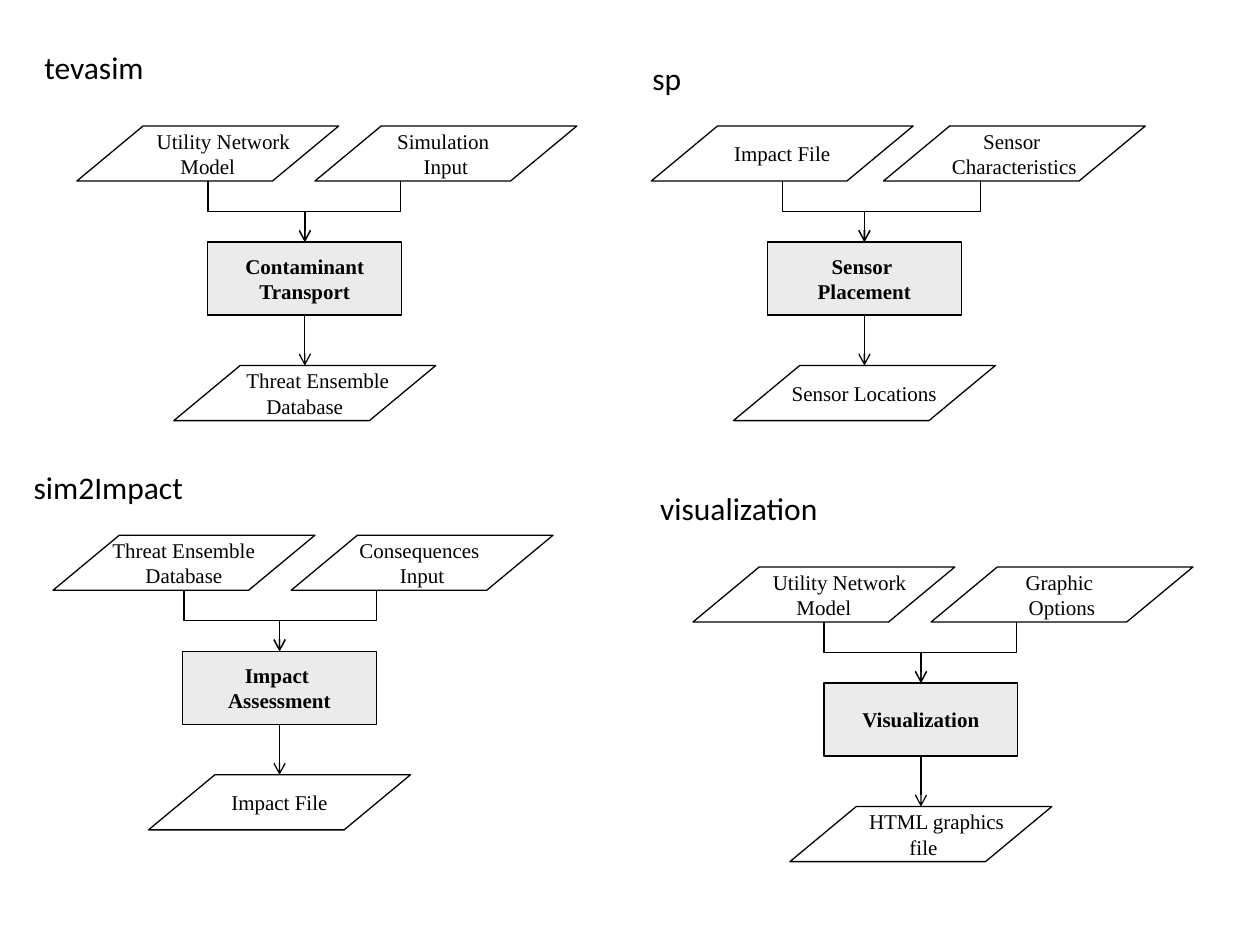
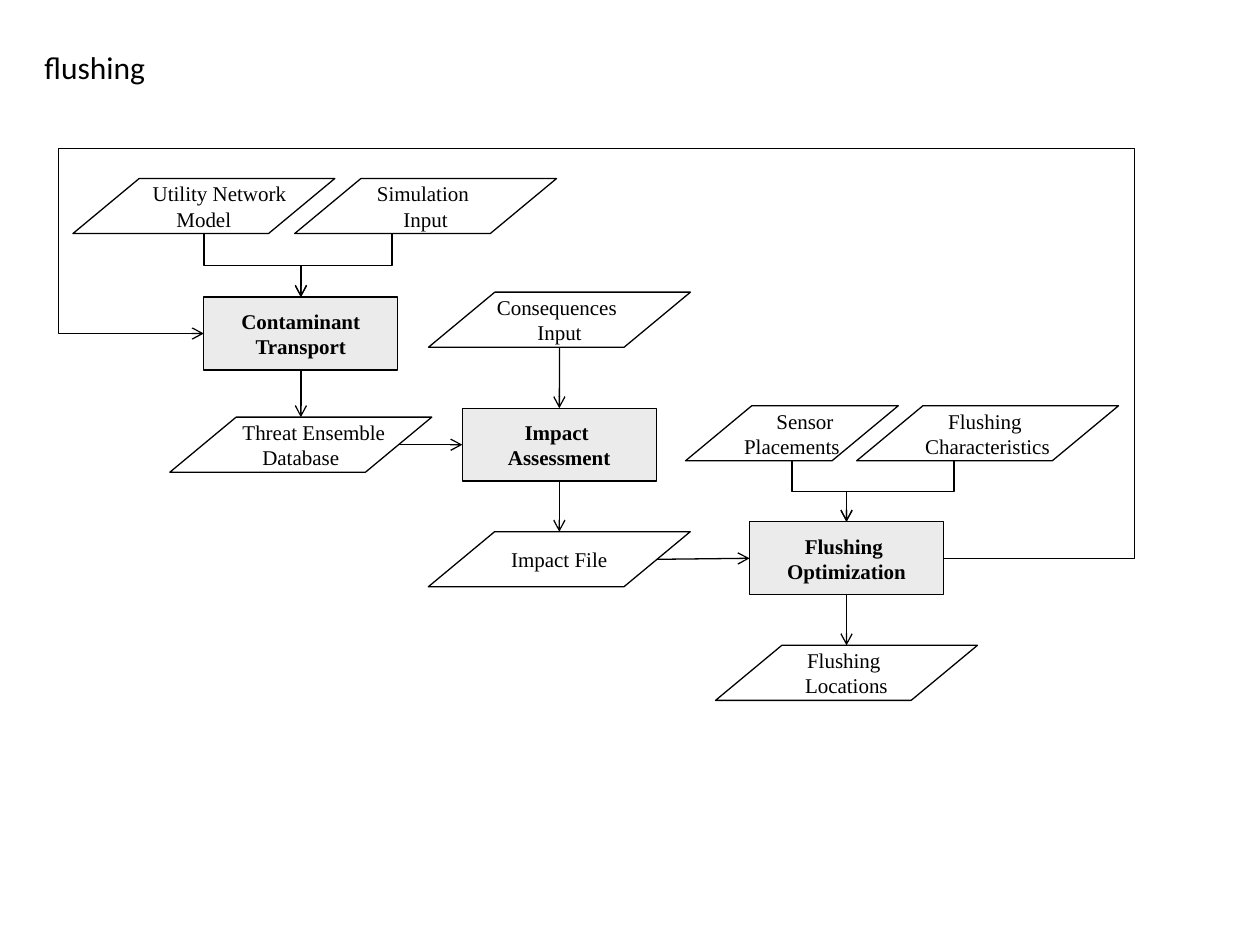
import pptx
import pptx.util
import pptx.dml.color
import pptx.enum.shapes
import pptx.enum.text
import pptx.oxml.ns
import lxml.etree

Cm, Pt = pptx.util.Cm, pptx.util.Pt
Shapes = pptx.enum.shapes.MSO_SHAPE
Connectors = pptx.enum.shapes.MSO_CONNECTOR
qn = pptx.oxml.ns.qn

COLORS = {"ink": "000000", "process": "D9D9D9", "data": "FFFFFF"}
LABEL_FONT, BOX_FONT = "Calibri", "Times New Roman"
BOX_WIDTH, BOX_HEIGHT = Cm(3.91), Cm(1.47)
DATA_WIDTH, DATA_HEIGHT = Cm(5.28), Cm(1.11)
SLANT = 1.204
INDENT = Pt(18)
TOP, LEFT, BOTTOM, RIGHT = range(4)

# Captions marked with a leading ">" have an indented first line
NETWORK = ">Utility Network\nModel"
SIMULATION = "Simulation \nInput"
THREATS = ">Threat Ensemble \nDatabase"
CONSEQUENCES = "Consequences \nInput"
IMPACT = "Impact File"


def color(name):
    return pptx.dml.color.RGBColor.from_string(COLORS[name])


def add_xml(parent, tag, **attributes):
    return lxml.etree.SubElement(parent, qn(tag), **attributes)


def middle_x(shape):
    return shape.left + shape.width // 2


def middle_y(shape):
    return shape.top + shape.height // 2


class FlowDeck:
    def __init__(self):
        self.deck = pptx.Presentation()
        self.deck.slide_width, self.deck.slide_height = Cm(25.4), Cm(19.05)
        self.slide = None

    # Slides and labels
    def new_slide(self, title, left, top, width):
        self.slide = self.deck.slides.add_slide(self.deck.slide_layouts[5])
        heading = self.slide.shapes.title
        heading.left, heading.top = Cm(left), Cm(top)
        heading.width, heading.height = Cm(width), Cm(1.03)
        self.set_label(heading, title)

    def label(self, text, left, top, width):
        box = self.slide.shapes.add_textbox(Cm(left), Cm(top), Cm(width), Cm(1.03))
        self.set_label(box, text)

    def set_label(self, box, text):
        self.set_text(box, text, LABEL_FONT, 18, pptx.enum.text.PP_ALIGN.LEFT,
                      pptx.enum.text.MSO_ANCHOR.TOP)

    def set_text(self, shape, text, font, size, align, anchor, bold=False):
        frame = shape.text_frame
        frame.text = text.lstrip(">")
        frame.word_wrap = False
        frame.vertical_anchor = anchor
        for paragraph in frame.paragraphs:
            paragraph.alignment = align
            for run in paragraph.runs:
                run.font.name, run.font.size, run.font.bold = font, Pt(size), bold
                run.font.color.rgb = color("ink")
        if text.startswith(">"):
            frame.paragraphs[0]._p.get_or_add_pPr().set("marL", str(INDENT))

    # Boxes
    def box(self, kind, text, left, top, width, height, fill, opacity, bold=False):
        shape = self.slide.shapes.add_shape(kind, left, top, width, height)
        shape.shadow.inherit = False
        shape.fill.solid()
        shape.fill.fore_color.rgb = color(fill)
        tint = shape._element.spPr.find(qn("a:solidFill"))[0]
        add_xml(tint, "a:alpha", val=str(opacity * 1000))
        shape.line.color.rgb = color("ink")
        shape.line.width = Pt(0.75)
        self.set_text(shape, text, BOX_FONT, 12, pptx.enum.text.PP_ALIGN.CENTER,
                      pptx.enum.text.MSO_ANCHOR.MIDDLE, bold)
        return shape

    def process(self, text, left, top):
        return self.box(Shapes.RECTANGLE, text, Cm(left), Cm(top),
                        BOX_WIDTH, BOX_HEIGHT, "process", 50, True)

    def data(self, text, left, top, width=DATA_WIDTH):
        shape = self.box(Shapes.PARALLELOGRAM, text, left, top,
                         width, DATA_HEIGHT, "data", 25)
        shape.adjustments[0] = SLANT
        return shape

    # Arrows
    def arrow(self, start, end, kind=Connectors.STRAIGHT):
        line = self.slide.shapes.add_connector(kind, *start, *end)
        line.line.color.rgb = color("ink")
        line.line.width = Pt(0.75)
        properties = line._element.spPr
        add_xml(properties.find(qn("a:ln")), "a:tailEnd", type="arrow")
        add_xml(properties, "a:effectLst")
        return line

    def elbow_down(self, start, end):
        """Down, across and down: a sideways elbow turned a quarter."""
        (x1, y1), (x2, y2) = start, end
        length, spread = y2 - y1, abs(x2 - x1)
        left, top = (x1 + x2 - length) // 2, (y1 + y2 - spread) // 2
        line = self.arrow((left, top), (left + length, top + spread), Connectors.ELBOW)
        frame = line._element.spPr.find(qn("a:xfrm"))
        frame.set("rot", str((270 if x2 > x1 else 90) * 60000))
        if x2 > x1:
            frame.set("flipH", "1")

    def feed(self, source, target):
        """Arrow from the slanted right side of data into a process."""
        x = source.left + source.width - int(SLANT * source.height / 2)
        line = self.arrow((x, middle_y(source)), (target.left, middle_y(target)))
        line.end_connect(target, LEFT)

    def loop_back(self, source, target):
        line = self.arrow((source.left + source.width, middle_y(source)),
                          (target.left, middle_y(target)), Connectors.ELBOW)
        geometry = line._element.spPr.find(qn("a:prstGeom"))
        geometry.set("prst", "bentConnector5")
        guides = geometry.find(qn("a:avLst"))
        if guides is None:
            guides = add_xml(geometry, "a:avLst")
        for number, value in enumerate((-25800, 182300, 119600), 1):
            add_xml(guides, "a:gd", name=f"adj{number}", fmla=f"val {value}")

    # One step: inputs above a process, its result below
    def step(self, text, left, top, inputs, result,
             rise=2.34, fall=2.49, drop=1.72, first_width=5.28):
        process = self.process(text, left, top)
        center = middle_x(process)
        entry = (center, process.top)
        sources = []
        for i, (caption, x) in enumerate(inputs):
            width = DATA_WIDTH if i else Cm(first_width)
            sources.append(self.data(caption, Cm(x), Cm(top - rise), width))
        first = sources[0]
        exit_y = first.top + first.height
        if len(sources) == 1:
            self.arrow((middle_x(first), exit_y), entry).end_connect(process, TOP)
        else:
            self.elbow_down((middle_x(first), exit_y), entry)
            self.elbow_down((sources[1].left + Cm(drop), exit_y), entry)
        output = self.data(result, center - DATA_WIDTH // 2, Cm(top + fall))
        line = self.arrow((center, process.top + BOX_HEIGHT), (center, output.top))
        line.begin_connect(process, BOTTOM)
        return process, output


def main():
    flow = FlowDeck()

    # Slide 1: four separate tools
    flow.new_slide("tevasim", 0.64, 0.84, 2.54)
    flow.label("sim2Impact", 0.43, 9.32, 3.56)
    flow.label("sp", 12.9, 1.07, 1.09)
    flow.label("visualization", 13.06, 9.73, 3.71)
    flow.step("Contaminant\nTransport", 4.19, 4.88,
              [(NETWORK, 1.55), (SIMULATION, 6.35)], THREATS)
    flow.step("Impact \nAssessment", 3.68, 13.13,
              [(" Threat Ensemble \nDatabase", 1.07), (CONSEQUENCES, 5.87)], IMPACT)
    flow.step("Sensor \nPlacement", 15.47, 4.88,
              [(IMPACT, 13.13), ("Sensor \nCharacteristics", 17.81)],
              "Sensor Locations", drop=1.96)
    flow.step("Visualization", 16.61, 13.77,
              [(NETWORK, 13.97), ("Graphic \nOptions", 18.77)],
              ">HTML graphics\n file")

    # Slide 2: the chained flushing process
    flow.new_slide("flushing", 0.64, 0.84, 2.57)
    transport, threats = flow.step(
        "Contaminant\nTransport", 4.11, 5.99, [(NETWORK, 1.47), (SIMULATION, 5.94)],
        THREATS, rise=2.39, fall=2.42, drop=1.96)
    assessment, impact = flow.step(
        "Impact \nAssessment", 9.32, 8.23, [(CONSEQUENCES, 8.64)], IMPACT)
    optimization, _ = flow.step(
        "Flushing \nOptimization", 15.11, 10.52,
        [(">Sensor \nPlacements", 13.82), ("Flushing \nCharacteristics", 17.27)],
        "Flushing \nLocations", drop=1.96, first_width=4.29)
    flow.feed(threats, assessment)
    flow.feed(impact, optimization)
    flow.loop_back(optimization, transport)

    flow.deck.save("out.pptx")


if __name__ == "__main__":
    main()
